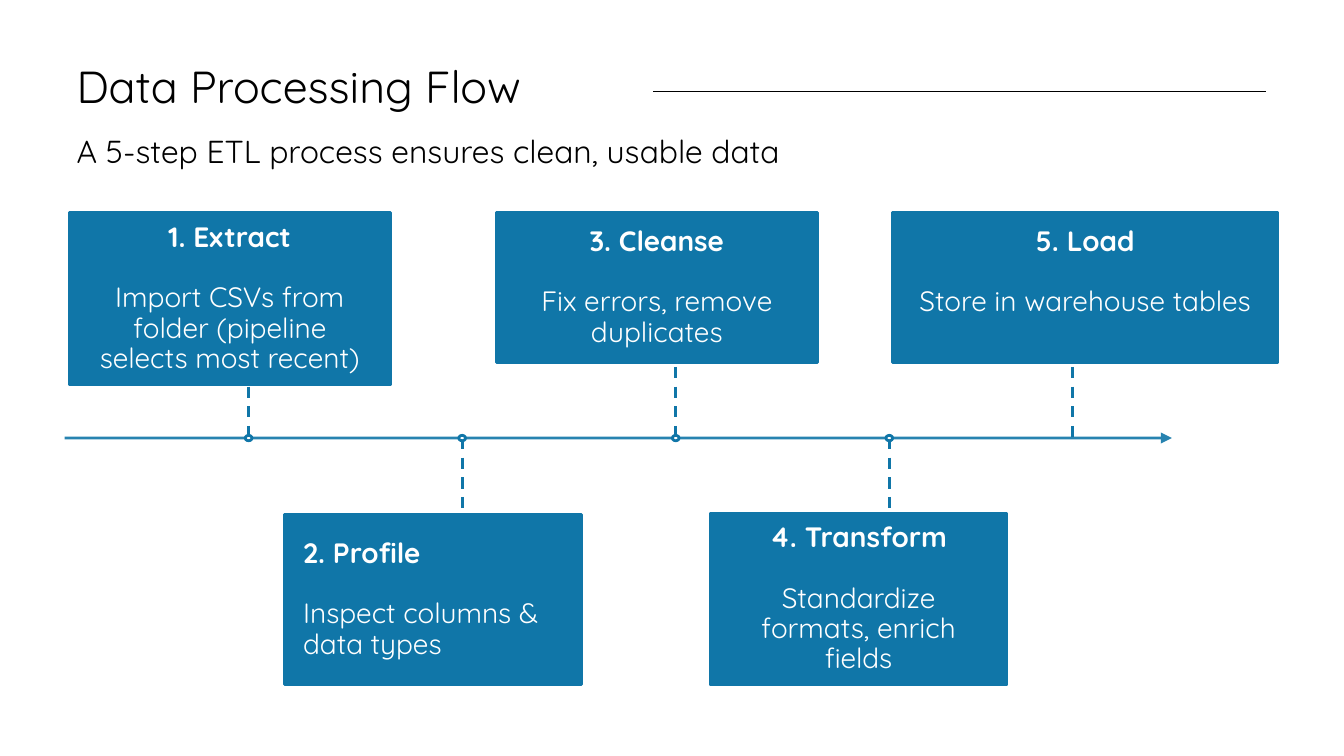
from lxml import etree
from pptx import Presentation
from pptx.dml.color import RGBColor
from pptx.enum.dml import MSO_LINE
from pptx.enum.shapes import MSO_CONNECTOR, MSO_SHAPE
from pptx.enum.text import MSO_ANCHOR, PP_ALIGN
from pptx.oxml.ns import qn
from pptx.util import Pt

RECT, OVAL = MSO_SHAPE.RECTANGLE, MSO_SHAPE.OVAL
STRAIGHT, DASH = MSO_CONNECTOR.STRAIGHT, MSO_LINE.DASH
TOP, MIDDLE = MSO_ANCHOR.TOP, MSO_ANCHOR.MIDDLE
LEFT, CENTER = PP_ALIGN.LEFT, PP_ALIGN.CENTER


def rgb(value):
    return RGBColor.from_string(value)


def apply(target, values):
    for name, value in values.items():
        setattr(target, name, value)


class Deck:
    FONT, BLUE, WHITE, BLACK = "Quicksand", "1076A8", "FFFFFF", "000000"
    LINE_W, PAD, GAP = 1.5, 10, 16.2

    def __init__(self, slide):
        self.s = slide

    def frame(self, sp, insets, anchor):
        tf = sp.text_frame
        names = ("margin_left", "margin_top", "margin_right", "margin_bottom")
        apply(tf, dict(zip(names, map(Pt, insets))))
        apply(tf, {"word_wrap": True, "vertical_anchor": anchor})
        return tf

    def paragraph(self, p, text, size, color, bold=False, align=LEFT, before=0):
        apply(p, {"alignment": align, "line_spacing": 0.9,
                  "space_before": Pt(before)})
        r = p.add_run()
        r.text = text
        apply(r.font, {"name": self.FONT, "size": Pt(size), "bold": bold})
        r.font.color.rgb = rgb(color)

    def text(self, x, y, w, h, text, size):
        sp = self.s.shapes.add_textbox(Pt(x), Pt(y), Pt(w), Pt(h))
        tf = self.frame(sp, (0, 2.9, 5, 2.9), TOP)
        self.paragraph(tf.paragraphs[0], text, size, self.BLACK)

    def shape(self, kind, x, y, w, h, fill):
        sp = self.s.shapes.add_shape(kind, Pt(x), Pt(y), Pt(w), Pt(h))
        sp.shadow.inherit = False
        sp.fill.solid()
        sp.fill.fore_color.rgb = rgb(fill)
        sp.line.color.rgb = rgb(self.BLUE)
        sp.line.width = Pt(self.LINE_W)
        return sp

    def step(self, x, y, w, h, heading, body, align=CENTER, extra=0):
        sp = self.shape(RECT, x, y, w, h, self.BLUE)
        pad = self.PAD
        tf = self.frame(sp, (pad, pad, pad, pad + extra), MIDDLE)
        self.paragraph(tf.paragraphs[0], heading, 15, self.WHITE, True, align)
        self.paragraph(tf.add_paragraph(), body, 15, self.WHITE, False, align,
                       self.GAP)

    def line(self, x1, y1, x2, y2, color=BLUE, width=LINE_W, dash=None):
        c = self.s.shapes.add_connector(STRAIGHT, Pt(x1), Pt(y1), Pt(x2), Pt(y2))
        c.line.color.rgb = rgb(color)
        c.line.width = Pt(width)
        if dash:
            c.line.dash_style = dash
        etree.SubElement(c._element.spPr, qn("a:effectLst"))
        return c

    def arrow(self, x1, y1, x2, y2, opacity):
        ln = self.line(x1, y1, x2, y2).line._get_or_add_ln()
        color = ln.find(".//" + qn("a:srgbClr"))
        etree.SubElement(color, qn("a:alpha"), val=str(opacity * 1000))
        etree.SubElement(ln, qn("a:tailEnd"), type="triangle")


prs = Presentation()
prs.slide_width, prs.slide_height = Pt(720), Pt(405)
deck = Deck(prs.slides.add_slide(prs.slide_layouts[6]))

# Heading
deck.line(349.9, 49, 678.2, 49, deck.BLACK, 0.75)
deck.text(41, 31.7, 294.5, 33.1, "Data Processing Flow", 24)
deck.text(41, 69.8, 402.5, 28.1,
          "A 5-step ETL process ensures clean, usable data", 17)

# Timeline with dashed stems, alternating up and down
AXIS, STEM = 234.7, 38.1
DOT_W, DOT_H = 3.6, 2.9
dots = [133.2 + 114.4 * i for i in range(4)]
deck.arrow(34.6, AXIS, 627.8, AXIS, 90)
for i, x in enumerate(dots + [574.6]):
    if i % 2:
        deck.line(x, AXIS, x, AXIS + STEM, dash=DASH)
    else:
        deck.line(x, AXIS - STEM, x, AXIS, dash=DASH)
for x in dots:
    deck.shape(OVAL, x - DOT_W / 2, AXIS - DOT_H / 2, DOT_W, DOT_H, deck.WHITE)

# Step boxes
UPPER = 113.8
deck.step(37.1, UPPER, 172, 92.5, "1. Extract",
          "Import CSVs from folder (pipeline selects most recent)")
deck.step(152.4, 275.8, 159.1, 91.1, "2. Profile",
          "Inspect columns & data types", LEFT)
deck.step(265.9, UPPER, 172, 80.6, "3. Cleanse",
          "Fix errors, remove duplicates")
deck.step(380.4, 275.2, 159.1, 91.8, "4. Transform",
          "Standardize formats, enrich fields")
deck.step(478.1, UPPER, 206.6, 80.6, "5. Load",
          "Store in warehouse tables", extra=deck.GAP)

prs.save("out.pptx")
